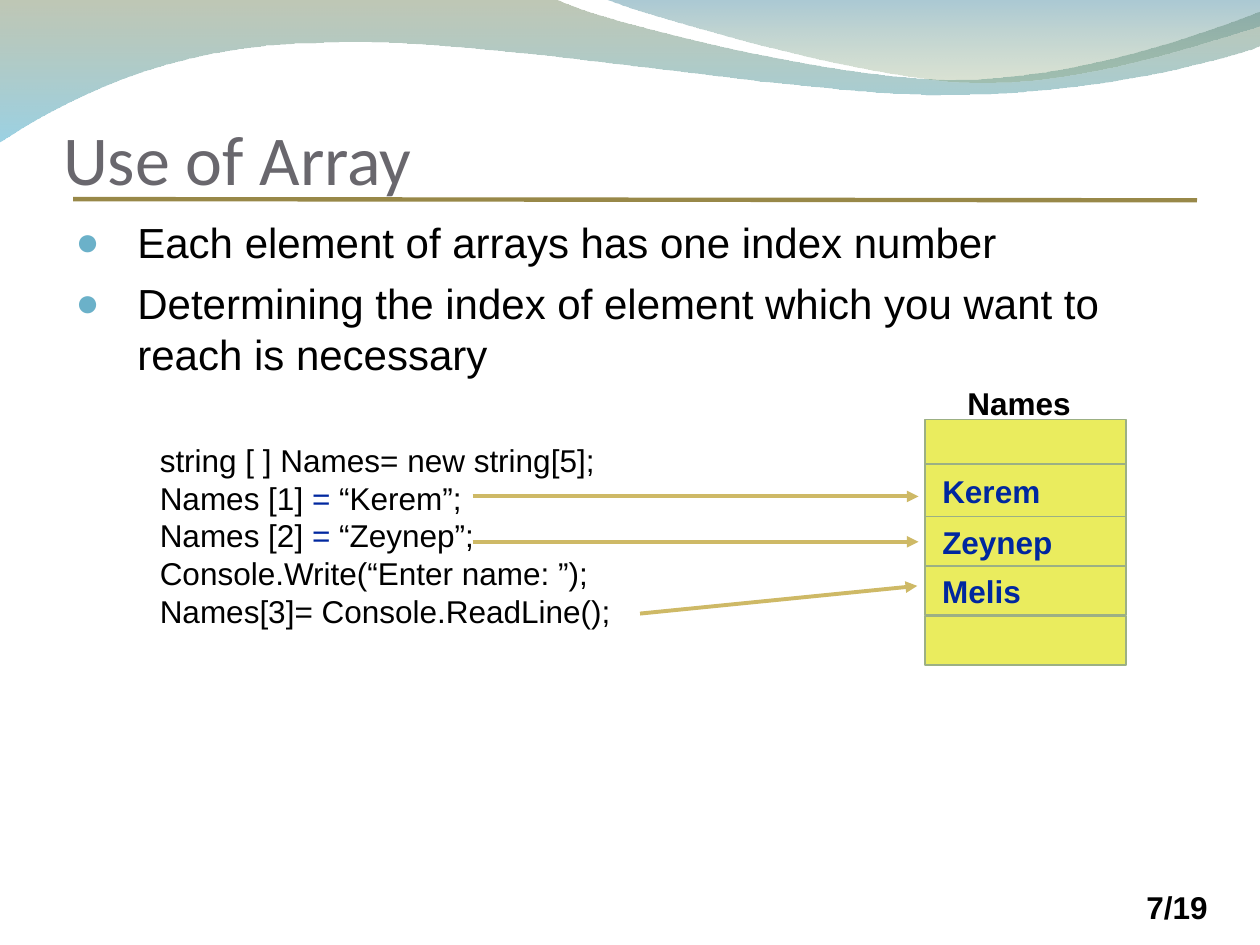
import pptx
import pptx.util
import pptx.dml.color
import pptx.enum.shapes
import pptx.enum.text
import pptx.oxml
import pptx.oxml.ns
from lxml import etree

RGB = pptx.dml.color.RGBColor
BLACK = RGB(0x00, 0x00, 0x00)
TITLE_GREY = RGB(0x69, 0x67, 0x6D)
NAVY = RGB(0x00, 0x27, 0x9F)
RULE_BROWN = RGB(0x98, 0x88, 0x48)
ARROW_GOLD = RGB(0xCE, 0xB9, 0x66)
CELL_YELLOW = RGB(0xEA, 0xEC, 0x5E)
CELL_EDGE = RGB(0x9C, 0xB0, 0x84)
BULLET_BLUE = RGB(0x6B, 0xB1, 0xC9)
OLIVE = RGB(0x72, 0x84, 0x5C)
SKY = RGB(0x49, 0xAC, 0xCD)
TEAL = RGB(0x42, 0x86, 0x9E)
SAGE = RGB(0x8A, 0xA2, 0x6C)

deck = pptx.Presentation()
deck.slide_width = pptx.util.Inches(10)
deck.slide_height = pptx.util.Inches(7.5)
slide = deck.slides.add_slide(deck.slide_layouts[1])
module = deck.slide_width / 10  # square grid: 10 columns by 7.5 rows
qn = pptx.oxml.ns.qn
AutoSize = pptx.enum.text.MSO_AUTO_SIZE


def grid(*lengths):
    return [round(length * module) for length in lengths]


def write(paragraph, text, size, color=BLACK, bold=False, face="Arial"):
    run = paragraph.add_run()
    run.text = text
    run.font.size = pptx.util.Pt(size)
    run.font.name = face
    run.font.bold = bold
    run.font.color.rgb = color


# Waves: start point, then pieces of one point (straight) or three (Bézier)
waves = [
    ((0, -0.01),
     [[(4.4, -0.01)],
      [(4.76, 0.17), (6.64, 0.63), (7.58, 0.63)],
      [(8.53, 0.63), (9.58, 0.26), (10, 0.09)],
      [(10.01, 0.36)],
      [(9.83, 0.44), (8.7, 0.76), (7.46, 0.75)],
      [(6.22, 0.75), (3.82, 0.28), (2.57, 0.34)],
      [(1.29, 0.35), (0.46, 0.83), (-0.01, 1.13)]],
     [(OLIVE, 45), (SKY, 55)]),
    ((4.79, -0.01),
     [[(5.09, 0.11), (6.82, 0.62), (7.69, 0.65)],
      [(8.56, 0.69), (9.61, 0.32), (10, 0.21)],
      [(10, 0)]],
     [(TEAL, 45), (SAGE, 30)]),
]
for start, pieces, shades in waves:
    builder = slide.shapes.build_freeform(*grid(*start))
    builder.add_line_segments([grid(*point) for piece in pieces for point in piece], close=True)
    wave = builder.convert_to_shape()
    # Gather each run of three segments into one curve
    segments = iter(list(wave._element.spPr.iter(qn("a:lnTo"))))
    for piece in pieces:
        members = [next(segments) for _ in piece]
        if len(piece) == 3:
            curve = etree.Element(qn("a:cubicBezTo"))
            members[0].addprevious(curve)
            for member in members:
                curve.append(member[0])
                member.getparent().remove(member)
    wave.shadow.inherit = False
    wave.line.fill.background()
    wave.fill.gradient()
    wave.fill.gradient_angle = 270
    for stop, (shade, opacity) in zip(wave.fill.gradient_stops, shades):
        stop.color.rgb = shade
    for color, (shade, opacity) in zip(wave._element.spPr.iter(qn("a:srgbClr")), shades):
        etree.SubElement(color, qn("a:alpha"), val=str(opacity * 1000))

# Title rule and arrows from the code to the cells
lines = [
    ((0.58, 1.58, 9.5, 1.59), RULE_BROWN, 2.5, False),
    ((3.75, 3.94, 7.29, 3.94), ARROW_GOLD, 2.25, True),
    ((5.08, 4.87, 7.28, 4.65), ARROW_GOLD, 2.25, True),
    ((3.75, 4.3, 7.29, 4.3), ARROW_GOLD, 2.25, True),
]
for ends, color, weight, has_head in lines:
    line = slide.shapes.add_connector(pptx.enum.shapes.MSO_CONNECTOR.STRAIGHT, *grid(*ends))
    line.line.color.rgb = color
    line.line.width = pptx.util.Pt(weight)
    if has_head:
        etree.SubElement(line.line._get_or_add_ln(), qn("a:tailEnd"), type="triangle")
    etree.SubElement(line._element.spPr, qn("a:effectLst"))

# Title and bullets, brought in front of the waves and the rule
title, points = slide.placeholders
for holder, place in ((title, (0.5, 0.33, 9, 1.25)), (points, (0.5, 1.67, 9, 5.33))):
    holder.left, holder.top, holder.width, holder.height = grid(*place)
    holder.text_frame.auto_size = AutoSize.NONE
    holder._element.getparent().append(holder._element)

heading = title.text_frame
heading.margin_left = heading.margin_right = heading.margin_bottom = 0
heading.vertical_anchor = pptx.enum.text.MSO_ANCHOR.BOTTOM
heading.paragraphs[0].alignment = pptx.enum.text.PP_ALIGN.LEFT
write(heading.paragraphs[0], "Use of Array", 40, TITLE_GREY, face="Calibri")

facts = ["Each element of arrays has one index number",
         "Determining the index of element which you want to reach is necessary"]
for number, fact in enumerate(facts):
    point = points.text_frame.add_paragraph() if number else points.text_frame.paragraphs[0]
    point.space_before = pptx.util.Pt(6 if number else 0)
    props = point._p.get_or_add_pPr()
    indent = grid(0.49)[0]
    props.set("marL", str(indent))
    props.set("indent", str(-indent))
    bullet_color = etree.SubElement(props, qn("a:buClr"))
    etree.SubElement(bullet_color, qn("a:srgbClr"), val=str(BULLET_BLUE))
    etree.SubElement(props, qn("a:buSzPct"), val="95000")
    etree.SubElement(props, qn("a:buChar"), char="●")
    write(point, fact, 24)

# Code, one list of runs per line
code = [
    [("string [ ] Names= new string[5];", BLACK)],
    [("Names [1] ", BLACK), ("=", NAVY), (" “Kerem”;", BLACK)],
    [("Names [2] ", BLACK), ("=", NAVY), (" “Zeynep”;", BLACK)],
    [("Console.Write(“Enter name: ”);", BLACK)],
    [("Names[3]= Console.ReadLine();", BLACK)],
]
listing = slide.shapes.add_textbox(*grid(1.17, 3.45, 5, 1.6)).text_frame
listing.word_wrap = True
listing.auto_size = AutoSize.SHAPE_TO_FIT_TEXT
for number, statement in enumerate(code):
    row = listing.add_paragraph() if number else listing.paragraphs[0]
    for text, color in statement:
        write(row, text, 18, color)

# Array cells
array = slide.shapes.add_group_shape()
for top, height in ((3.33, 0.38), (3.68, 0.42), (4.1, 0.39), (4.49, 0.39), (4.89, 0.39)):
    cell = array.shapes.add_shape(pptx.enum.shapes.MSO_SHAPE.RECTANGLE,
                                  *grid(7.34, top, 1.6, height))
    cell.shadow.inherit = False
    cell.fill.solid()
    cell.fill.fore_color.rgb = CELL_YELLOW
    cell.line.color.rgb = CELL_EDGE
    cell.line.width = pptx.util.Pt(1)

# Cell values, array caption and page number
labels = [
    (array, "Zeynep", (7.38, 4.1, 1.08, 0.4), NAVY),
    (array, "Kerem", (7.38, 3.7, 0.99, 0.4), NAVY),
    (array, "Melis", (7.38, 4.49, 0.83, 0.4), NAVY),
    (array, "Names", (7.58, 3, 1.03, 0.4), BLACK),
    (slide, "7/19", (9, 7, 0.92, 0.4), BLACK),
]
for parent, text, place, color in labels:
    label = parent.shapes.add_textbox(*grid(*place)).text_frame
    label.word_wrap = parent is slide
    label.auto_size = AutoSize.SHAPE_TO_FIT_TEXT
    write(label.paragraphs[0], text, 18, color, bold=True)

deck.save("out.pptx")
